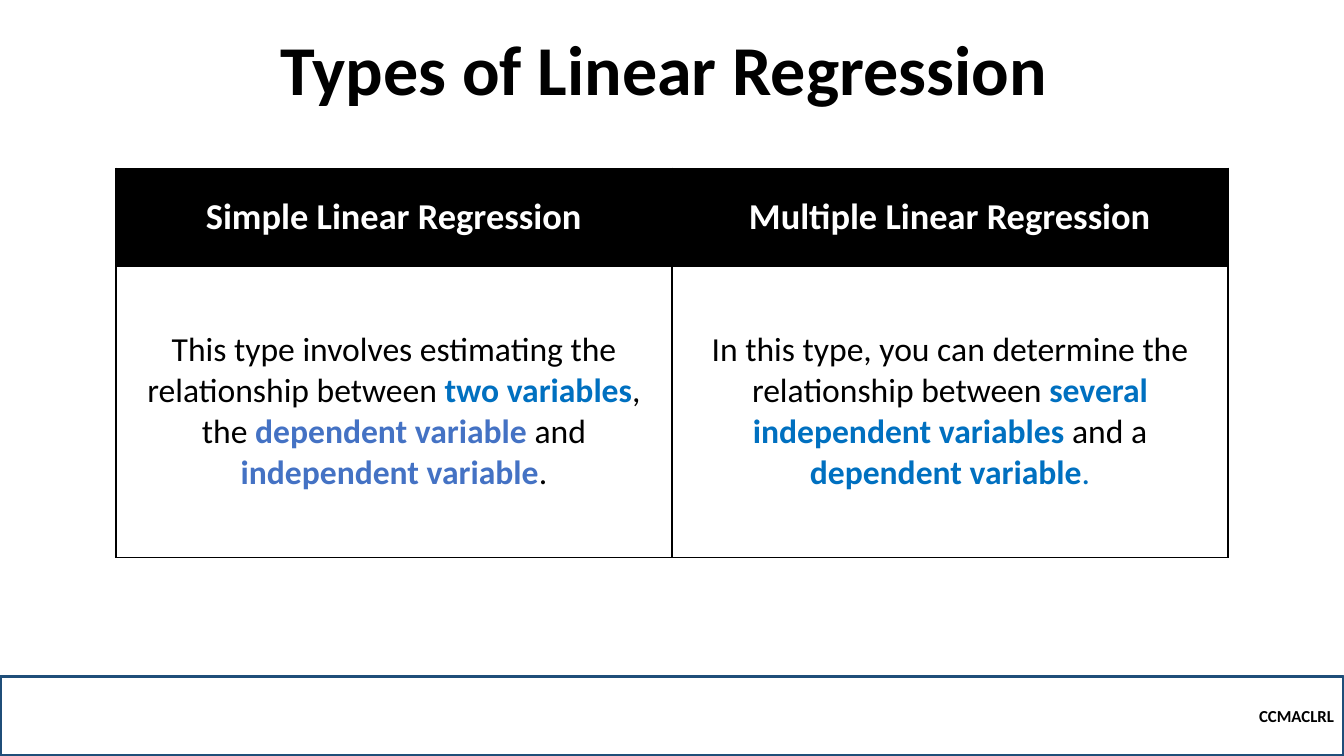
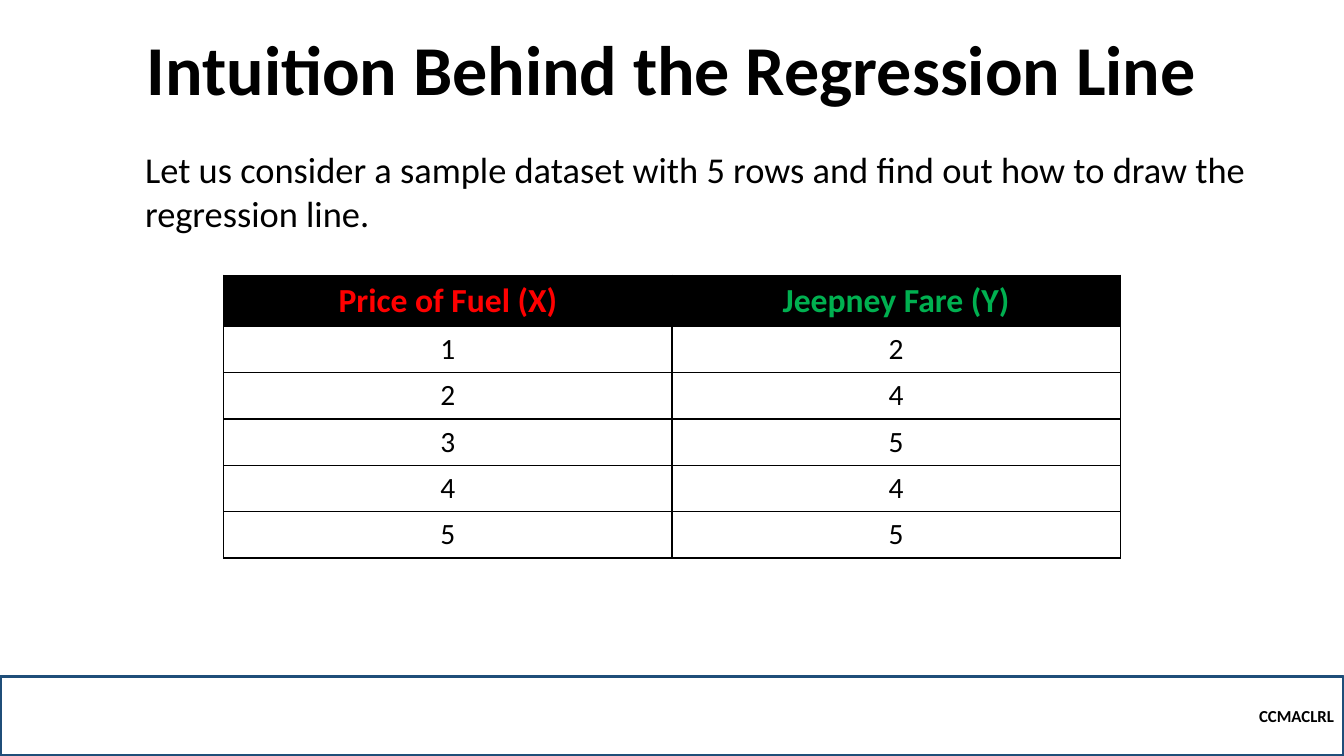
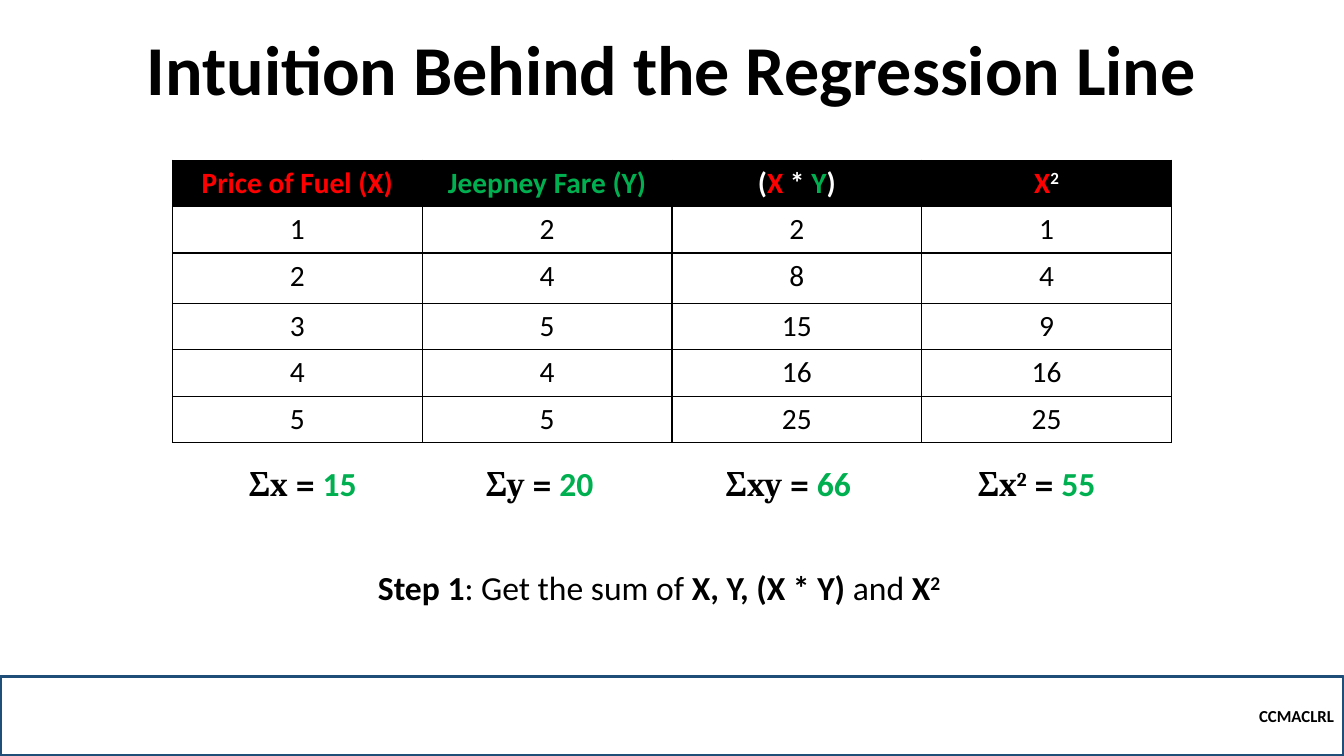
from dataclasses import dataclass
from typing import NamedTuple, Optional

from lxml import etree
from pptx import Presentation
from pptx.dml.color import RGBColor
from pptx.enum.shapes import MSO_SHAPE
from pptx.enum.text import MSO_ANCHOR, MSO_AUTO_SIZE, PP_ALIGN
from pptx.oxml.ns import qn
from pptx.util import Inches, Pt

LEFT, CENTER, RIGHT = PP_ALIGN.LEFT, PP_ALIGN.CENTER, PP_ALIGN.RIGHT
TOP, MIDDLE, BOTTOM = MSO_ANCHOR.TOP, MSO_ANCHOR.MIDDLE, MSO_ANCHOR.BOTTOM
FIXED, GROW = MSO_AUTO_SIZE.NONE, MSO_AUTO_SIZE.SHAPE_TO_FIT_TEXT
RECTANGLE = MSO_SHAPE.RECTANGLE
TITLE_ONLY = 5


@dataclass(frozen=True)
class Theme:
    font: str = "Calibri"
    math_font: str = "Cambria"
    black: str = "000000"
    white: str = "FFFFFF"
    band_line: str = "1F4E79"
    blue: str = "0070C0"
    soft_blue: str = "4472C4"
    red: str = "FF0000"
    green: str = "00B050"
    title_size: int = 50
    lead_size: int = 26
    text_size: int = 24
    cell_size: int = 21
    footer_size: int = 12
    border: float = 1
    band_border: float = 2.25


THEME = Theme()


class Box(NamedTuple):
    """Left, top, width and height in inches."""
    left: float
    top: float
    width: float
    height: float

    def lengths(self):
        return [Inches(value) for value in self]


class Run(NamedTuple):
    """A piece of text with what differs from its paragraph."""
    text: str
    color: Optional[str] = None
    bold: Optional[bool] = None
    font: Optional[str] = None
    raised: bool = False


SLIDE = Box(0, 0, 13.33, 7.5)
TITLE = Box(0.5, 0.36, 12.33, 0.79)
BAND = Box(0, 6.71, 13.33, 0.79)

FUEL = [Run("Price of Fuel (X)", THEME.red)]
FARE = [Run("Jeepney Fare (Y)", THEME.green)]
SAMPLE = [(1, 2), (2, 4), (3, 5), (4, 4), (5, 5)]


# Text
def write(frame, runs, size, align=LEFT, bold=False):
    """Fill the first paragraph of a text frame with runs."""
    paragraph = frame.paragraphs[0]
    paragraph.alignment = align
    paragraph.font.name = THEME.font
    paragraph.font.size = Pt(size)
    paragraph.font.bold = bold
    paragraph.font.color.rgb = RGBColor.from_string(THEME.black)
    for item in runs:
        run = paragraph.add_run()
        run.text = item.text
        if item.color:
            run.font.color.rgb = RGBColor.from_string(item.color)
        if item.bold is not None:
            run.font.bold = item.bold
        if item.font:
            run.font.name = item.font
        if item.raised:
            run.font._element.set("baseline", "30000")
    return paragraph


def add_text(slide, box, runs, size, bold=False, wrap=True):
    frame = slide.shapes.add_textbox(*box.lengths()).text_frame
    frame.word_wrap = wrap
    frame.auto_size = GROW
    write(frame, runs, size, bold=bold)


# Shared frame: title and footer band
def add_band(slide, box):
    band = slide.shapes.add_shape(RECTANGLE, *box.lengths())
    band.shadow.inherit = False
    band.fill.background()
    band.line.color.rgb = RGBColor.from_string(THEME.band_line)
    band.line.width = Pt(THEME.band_border)
    band.text_frame.vertical_anchor = MIDDLE
    write(band.text_frame, [Run("CCMACLRL")], THEME.footer_size, RIGHT, True)


def add_framed_slide(presentation, title):
    slide = presentation.slides.add_slide(presentation.slide_layouts[TITLE_ONLY])
    add_band(slide, BAND)
    heading = slide.shapes.title
    heading.left, heading.top, heading.width, heading.height = TITLE.lengths()
    frame = heading.text_frame
    frame.auto_size = FIXED
    frame.vertical_anchor = BOTTOM
    paragraph = write(frame, [Run(title)], THEME.title_size, CENTER, True)
    paragraph.line_spacing = 0.9
    return slide


# Tables
def outline_cell(cell):
    """Draw a solid black line on each side of a cell."""
    properties = cell._tc.get_or_add_tcPr()
    for index, side in enumerate(("a:lnL", "a:lnR", "a:lnT", "a:lnB")):
        line = etree.Element(qn(side), w=str(Pt(THEME.border)))
        fill = etree.SubElement(line, qn("a:solidFill"))
        etree.SubElement(fill, qn("a:srgbClr"), val=THEME.black)
        properties.insert(index, line)


def add_grid(slide, box, heights, rows, head_size, body_size, anchor=TOP):
    """Add a table with a black header; each cell is a list of runs."""
    count = len(rows[0])
    shape = slide.shapes.add_table(len(rows), count, *box.lengths())
    table = shape.table
    table.horz_banding = False
    for column in table.columns:
        column.width = Inches(box.width / count)
    for row_index, (height, row) in enumerate(zip(heights, rows)):
        table.rows[row_index].height = Inches(height)
        is_head = row_index == 0
        for column_index, runs in enumerate(row):
            cell = table.cell(row_index, column_index)
            cell.vertical_anchor = anchor
            if is_head:
                cell.fill.solid()
                cell.fill.fore_color.rgb = RGBColor.from_string(THEME.black)
            else:
                cell.fill.background()
            outline_cell(cell)
            size = head_size if is_head else body_size
            write(cell.text_frame, runs, size, CENTER, is_head)


def number_rows(records):
    return [[[Run(str(value))] for value in record] for record in records]


# Slides
def build_types_slide(presentation):
    slide = add_framed_slide(presentation, "Types of Linear Regression ")
    head = [[Run(f"{kind} Linear Regression", THEME.white)]
            for kind in ("Simple", "Multiple")]
    simple = [
        Run("This type involves estimating the relationship between "),
        Run("two variables", THEME.blue, True),
        Run(", the "),
        Run("dependent variable ", THEME.soft_blue, True),
        Run("and "),
        Run("independent variable", THEME.soft_blue, True),
        Run("."),
    ]
    multiple = [
        Run("In this type, you can determine the relationship between "),
        Run("several independent variables ", THEME.blue, True),
        Run("and a "),
        Run("dependent variable", THEME.blue, True),
        Run(".", THEME.blue),
    ]
    add_grid(slide, Box(1.15, 1.67, 11.03, 3.86), [0.97, 2.89],
             [head, [simple, multiple]],
             THEME.lead_size, THEME.text_size, MIDDLE)


def build_sample_slide(presentation):
    slide = add_framed_slide(presentation, "Intuition Behind the Regression Line")
    add_grid(slide, Box(2.22, 2.73, 8.89, 2.8), [0.5] + [0.46] * 5,
             [[FUEL, FARE]] + number_rows(SAMPLE),
             THEME.text_size, THEME.cell_size)
    lead = ("Let us consider a sample dataset with 5 rows and find out "
            "how to draw the regression line.")
    add_text(slide, Box(1.34, 1.41, 11.28, 0.98), [Run(lead)], THEME.lead_size)


def add_sum(slide, box, symbol, total, squared=False):
    """Add one column total, such as Σx = 15."""
    runs = [Run(symbol, font=THEME.math_font)]
    if squared:
        runs.append(Run("2", font=THEME.math_font, raised=True))
    runs += [Run(" = ", font=THEME.math_font), Run(str(total), THEME.green)]
    add_text(slide, box, runs, THEME.text_size, bold=True, wrap=False)


def build_sums_slide(presentation):
    slide = add_framed_slide(presentation, "Intuition Behind the Regression Line")
    product = [Run("(", THEME.white), Run("X", THEME.red),
               Run(" * ", THEME.white), Run("Y", THEME.green),
               Run(")", THEME.white)]
    square = [Run("X", THEME.red), Run("2", THEME.white, raised=True)]
    records = [(x, y, x * y, x * x) for x, y in SAMPLE]
    add_grid(slide, Box(1.71, 1.59, 9.91, 2.8),
             [0.46, 0.46, 0.5, 0.46, 0.46, 0.46],
             [[FUEL, FARE, product, square]] + number_rows(records),
             THEME.cell_size, THEME.cell_size)

    # Totals under the columns
    totals = [sum(column) for column in zip(*records)]
    places = [("Σx", 2.37, 1.39, False), ("Σy", 4.72, 1.28, False),
              ("Σxy", 7.1, 1.44, False), ("Σx", 9.6, 1.4, True)]
    for (symbol, left, width, squared), total in zip(places, totals):
        add_sum(slide, Box(left, 4.54, width, 0.5), symbol, total, squared)

    # Step caption
    step = [Run("Step 1", bold=True), Run(": Get the sum of "),
            Run("X, Y, (X * Y)", bold=True), Run(" and "),
            Run("X", bold=True), Run("2", bold=True, raised=True)]
    add_text(slide, Box(3.65, 5.58, 6.03, 0.5), step, THEME.text_size)


def main():
    presentation = Presentation()
    presentation.slide_width = Inches(SLIDE.width)
    presentation.slide_height = Inches(SLIDE.height)
    build_types_slide(presentation)
    build_sample_slide(presentation)
    build_sums_slide(presentation)
    presentation.save("out.pptx")


if __name__ == "__main__":
    main()
